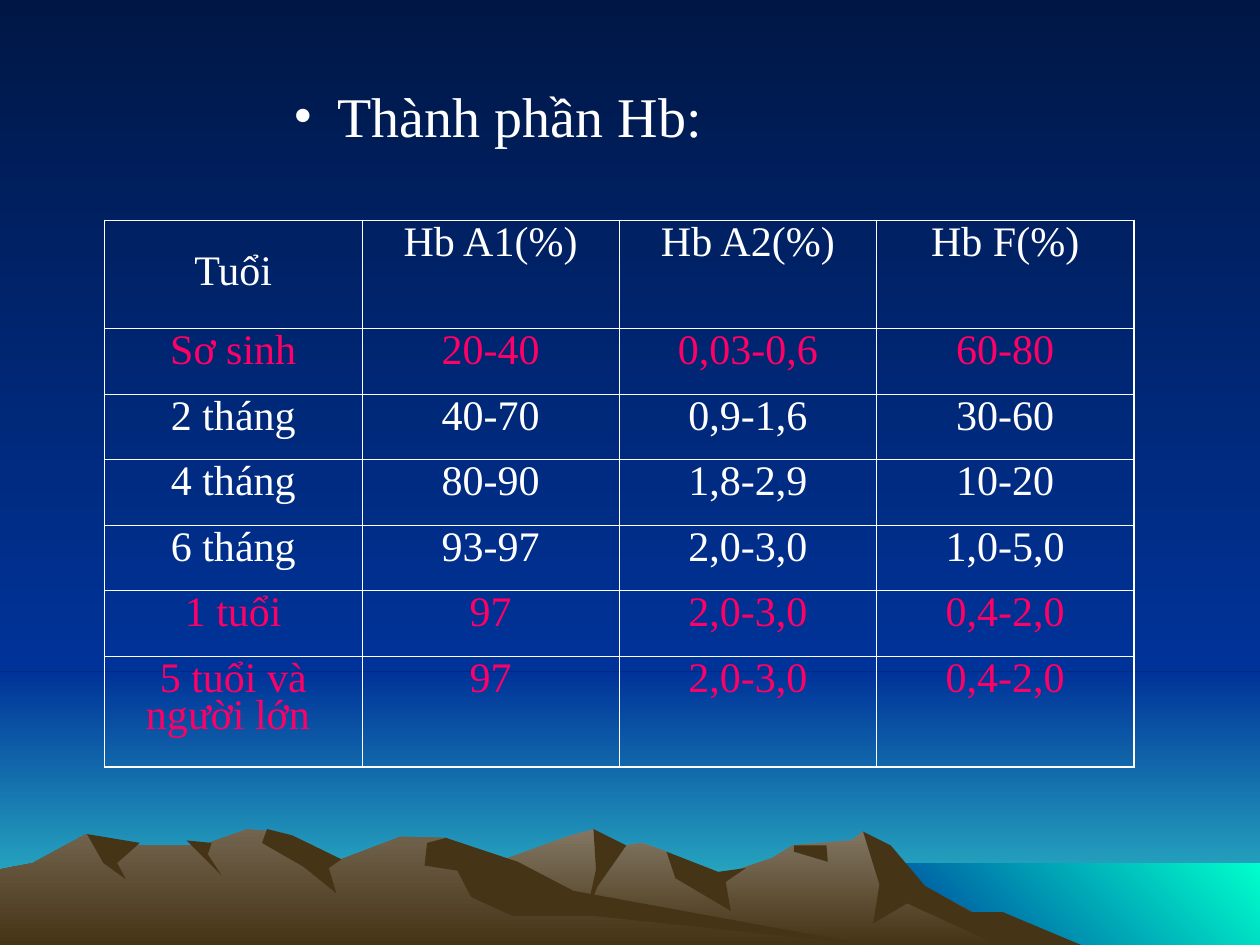
from lxml import etree
from pptx import Presentation
from pptx.dml.color import RGBColor
from pptx.enum.shapes import MSO_SHAPE
from pptx.enum.text import MSO_ANCHOR, MSO_AUTO_SIZE, PP_ALIGN
from pptx.oxml.ns import qn
from pptx.util import Inches, Pt

RECTANGLE = MSO_SHAPE.RECTANGLE
TOP, MIDDLE = MSO_ANCHOR.TOP, MSO_ANCHOR.MIDDLE
LEFT, CENTER = PP_ALIGN.LEFT, PP_ALIGN.CENTER
NO_AUTOFIT = MSO_AUTO_SIZE.NONE

FONT = "Times New Roman"
COLORS = {
    "night": "001746", "blue": "003399", "horizon": "33CCCC", "sea": "00FFCC",
    "far_rock": "837763", "near_rock": "72644E", "shade": "463416",
    "white": "FFFFFF", "accent": "FF0066",
}
WIDTH, HEIGHT = 10, 7.5
HORIZON, SEA_LEFT, SEA_TOP = 5.33, 6.83, 6.85

TITLE = "Thành phần Hb:"
ROWS = [
    ("white", ("Tuổi", "Hb A1(%)", "Hb A2(%)", "Hb F(%)")),
    ("accent", ("Sơ sinh", "20-40", "0,03-0,6", "60-80")),
    ("white", ("2 tháng", "40-70", "0,9-1,6", "30-60")),
    ("white", ("4 tháng", "80-90", "1,8-2,9", "10-20")),
    ("white", ("6 tháng", "93-97", "2,0-3,0", "1,0-5,0")),
    ("accent", ("1 tuổi", "97", "2,0-3,0", "0,4-2,0")),
    ("accent", ("5 tuổi và người lớn ", "97", "2,0-3,0", "0,4-2,0")),
]
ROW_HEIGHTS = [0.86] + [0.52] * 5 + [0.88]
TABLE_LEFT, TABLE_TOP, TABLE_WIDTH = 0.83, 1.75, 8.17
OUTER_LINE, INNER_LINE = 1.08, 0.45

BANDS = [
    ((0, HORIZON, WIDTH, HEIGHT), ("blue", "horizon"), 90),
    ((0, 0, WIDTH, HORIZON), ("night", "blue"), 90),
    ((SEA_LEFT, SEA_TOP, WIDTH, HEIGHT), ("sea", "blue"), 135),
]
MOUNTAINS = [
    (("far_rock", "shade"), [
        (258, 750), (327, 709), (450, 664), (471, 658), (486, 673), (509, 669), (529, 676),
        (536, 690), (566, 697), (613, 681), (629, 671), (676, 667), (685, 660), (723, 698),
        (820, 750)]),
    (("shade",), [
        (685, 660), (707, 671), (734, 703), (771, 724), (796, 724), (858, 750), (792, 750),
        (720, 717), (693, 733), (698, 702)]),
    (("shade",), [(471, 658), (497, 671), (474, 704), (465, 727), (473, 690)]),
    (("shade",), [(529, 676), (570, 692), (592, 689), (576, 700), (580, 723), (536, 697)]),
    (("shade",), [(630, 671), (656, 671), (657, 684), (630, 676)]),
    (("near_rock", "shade"), [
        (0, 750), (0, 690), (26, 685), (68, 662), (94, 671), (160, 671), (196, 658),
        (219, 660), (236, 681), (271, 682), (318, 664), (354, 665), (432, 712), (690, 750)]),
    (("shade",), [
        (212, 658), (232, 663), (271, 682), (261, 689), (267, 709), (241, 688), (208, 669)]),
    (("shade",), [
        (339, 669), (354, 665), (411, 684), (455, 707), (690, 750), (472, 727), (407, 727),
        (374, 712), (363, 691), (337, 687)]),
    (("shade",), [(148, 667), (168, 669), (165, 678), (176, 695)]),
    (("shade",), [(69, 662), (111, 669), (93, 685), (100, 698), (82, 685)]),
]


def rgb(name):
    return RGBColor.from_string(COLORS[name])


def paint(fill, names, angle=90):
    if len(names) == 1:
        fill.solid()
        fill.fore_color.rgb = rgb(names[0])
        return
    fill.gradient()
    fill.gradient_angle = 360 - angle
    for stop, name in zip(fill.gradient_stops, names):
        stop.color.rgb = rgb(name)


def finish(shape, names, angle=90):
    paint(shape.fill, names, angle)
    shape.line.fill.background()
    shape.shadow.inherit = False


def write(paragraph, text, size, color, alignment):
    paragraph.alignment = alignment
    run = paragraph.add_run()
    run.text = text
    run.font.name = FONT
    run.font.size = Pt(size)
    run.font.color.rgb = rgb(color)


def add_scenery(slide):
    paint(slide.background.fill, ("night", "blue"))
    for (left, top, right, bottom), names, angle in BANDS:
        box = map(Inches, (left, top, right - left, bottom - top))
        finish(slide.shapes.add_shape(RECTANGLE, *box), names, angle)
    for names, points in MOUNTAINS:
        builder = slide.shapes.build_freeform(*points[0], scale=Inches(0.01))
        builder.add_line_segments(points[1:], close=True)
        finish(builder.convert_to_shape(), names)


def add_border(cell, side, width):
    properties = cell._tc.get_or_add_tcPr()
    line = etree.SubElement(properties, qn(f"a:ln{side}"), w=str(Pt(width)))
    solid = etree.SubElement(line, qn("a:solidFill"))
    etree.SubElement(solid, qn("a:srgbClr"), val=COLORS["white"])


def add_hemoglobin_table(slide):
    row_count, column_count = len(ROWS), len(ROWS[0][1])
    box = (TABLE_LEFT, TABLE_TOP, TABLE_WIDTH, sum(ROW_HEIGHTS))
    table = slide.shapes.add_table(row_count, column_count, *map(Inches, box)).table
    table.first_row = table.horz_banding = False
    for row, height in zip(table.rows, ROW_HEIGHTS):
        row.height = Inches(height)
    for r, (color, texts) in enumerate(ROWS):
        for c, text in enumerate(texts):
            cell = table.cell(r, c)
            edges = {"L": c == 0, "R": c == column_count - 1,
                     "T": r == 0, "B": r == row_count - 1}
            for side, outer in edges.items():
                add_border(cell, side, OUTER_LINE if outer else INNER_LINE)
            cell.fill.background()
            cell.vertical_anchor = MIDDLE if r == c == 0 else TOP
            paragraph = cell.text_frame.paragraphs[0]
            paragraph.line_spacing = 0.8
            write(paragraph, text, 24, color, CENTER)


def add_title(slide):
    title = slide.shapes.title
    title.left, title.top, title.width, title.height = map(Inches, (0.98, 0.6, 4.86, 1.17))
    frame = title.text_frame
    frame.auto_size = NO_AUTOFIT
    frame.vertical_anchor = TOP
    paragraph = frame.paragraphs[0]
    properties = paragraph._p.get_or_add_pPr()
    properties.set("marL", str(Inches(1.6)))
    properties.set("indent", str(Inches(-0.35)))
    bullet_color = etree.SubElement(properties, qn("a:buClr"))
    etree.SubElement(bullet_color, qn("a:srgbClr"), val=COLORS["white"])
    etree.SubElement(properties, qn("a:buFont"), typeface=FONT)
    etree.SubElement(properties, qn("a:buChar"), char="•")
    write(paragraph, TITLE, 32, "white", LEFT)


def main():
    presentation = Presentation()
    presentation.slide_width = Inches(WIDTH)
    presentation.slide_height = Inches(HEIGHT)
    slide = presentation.slides.add_slide(presentation.slide_layouts[5])
    add_scenery(slide)
    add_hemoglobin_table(slide)
    add_title(slide)
    slide.shapes._spTree.append(slide.shapes.title._element)
    presentation.save("out.pptx")


if __name__ == "__main__":
    main()
